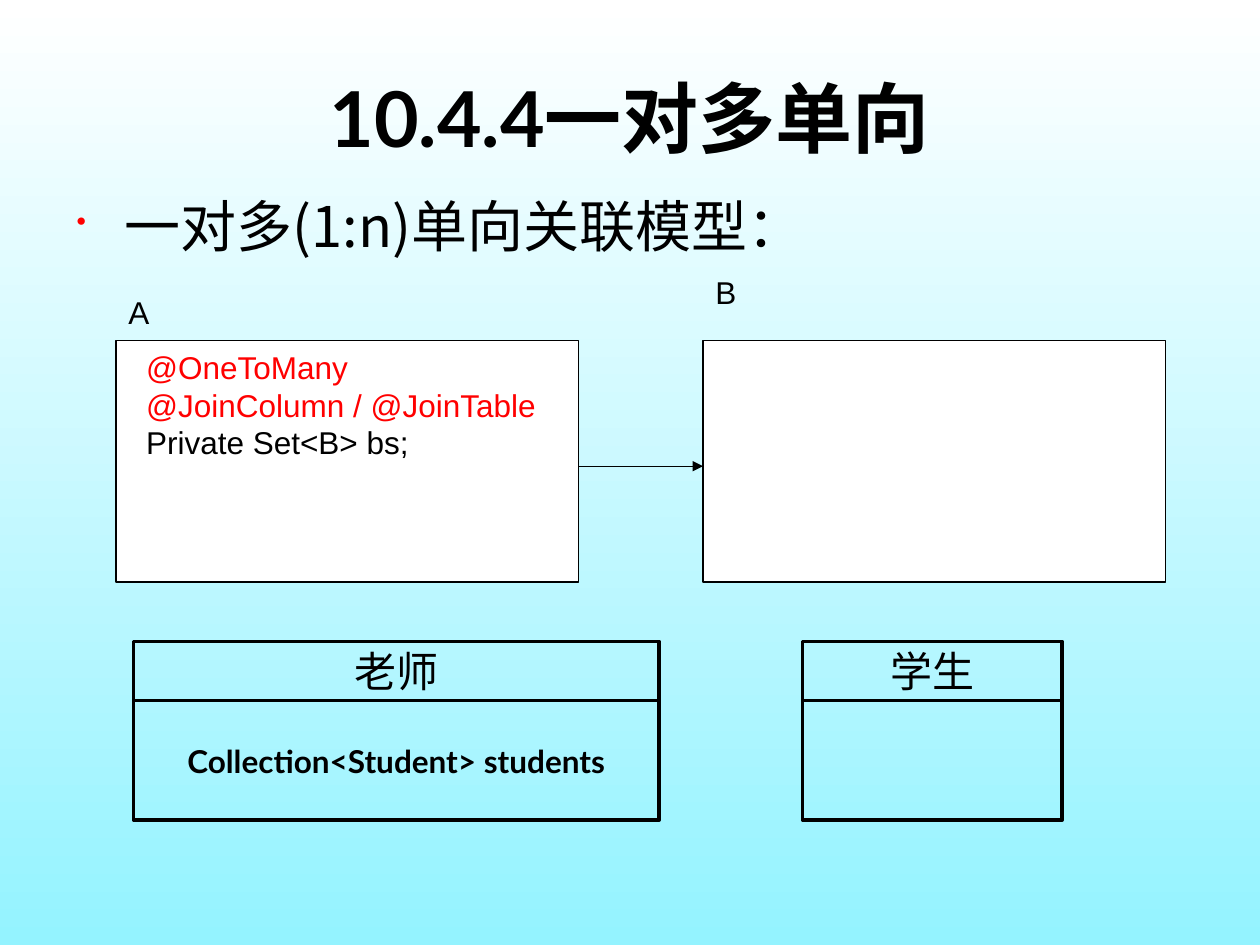
import pptx
import pptx.util
import pptx.dml.color
import pptx.enum.shapes
import pptx.enum.text
import pptx.oxml.ns
from lxml import etree

Inches, Pt = pptx.util.Inches, pptx.util.Pt
ALIGN, ANCHOR = pptx.enum.text.PP_ALIGN, pptx.enum.text.MSO_ANCHOR
qn = pptx.oxml.ns.qn

# Content
COLORS = {"text": "000000", "accent": "FF0000", "panel": "FFFFFF",
          "sky_top": "FFFFFF", "sky_bottom": "94F3FF"}
CJK_FONT = "Noto Sans CJK SC"
TITLE = "10.4.4一对多单向"
BULLET = "一对多(1:n)单向关联模型："
CODE = [("@OneToMany", "accent"),
        ("@JoinColumn / @JoinTable", "accent"),
        ("Private Set<B> bs;", "text")]
# Entity boxes: label, left, label top, code lines
ENTITIES = [("A", 0.92, 2.28, CODE), ("B", 5.58, 2.12, [])]
# Class boxes: name, left, width, attribute
CLASSES = [("学生", 6.37, 2.06, ""),
           ("老师", 1.06, 4.17, "Collection<Student> students")]

# Layout
ENTITY_TOP, ENTITY_WIDTH, ENTITY_HEIGHT = 2.7, 3.67, 1.92
CLASS_TOP, NAME_HEIGHT, ATTRIBUTE_HEIGHT = 5.09, 0.47, 0.95
ARROW_Y = 3.7


def color(name):
    return pptx.dml.color.RGBColor.from_string(COLORS[name])


def write(shape, lines, size, font, bold=False, align=ALIGN.LEFT,
          anchor=ANCHOR.TOP, wrap=True):
    """Fill a shape with (text, colour name) lines, one per paragraph."""
    frame = shape.text_frame
    frame.word_wrap = wrap
    frame.vertical_anchor = anchor
    for index, (text, color_name) in enumerate(lines):
        para = frame.add_paragraph() if index else frame.paragraphs[0]
        span = para.add_run()
        span.text = text
        para.alignment = align
        para.font.size, para.font.bold = Pt(size), bold
        para.font.name = font
        para.font.color.rgb = color(color_name)
        # East Asian glyphs take their own typeface
        span.font.name = font
        etree.SubElement(span.font._element, qn("a:ea"), typeface=CJK_FONT)
    return frame


def add_box(page, left, top, width, height, line_width, fill=None):
    box = page.shapes.add_shape(
        pptx.enum.shapes.MSO_SHAPE.RECTANGLE,
        Inches(left), Inches(top), Inches(width), Inches(height))
    box.shadow.inherit = False
    if fill:
        box.fill.solid()
        box.fill.fore_color.rgb = color(fill)
    else:
        box.fill.background()
    box.line.color.rgb = color("text")
    box.line.width = Pt(line_width)
    return box


def add_text(page, left, top, width, height, text, size, font, **style):
    box = page.shapes.add_textbox(
        Inches(left), Inches(top), Inches(width), Inches(height))
    return write(box, [(text, "text")], size, font, **style)


def add_bullet(para):
    props = para._p.get_or_add_pPr()
    props.set("marL", str(Inches(0.38)))
    props.set("indent", str(-Inches(0.38)))
    bullet_color = etree.Element(qn("a:buClr"))
    etree.SubElement(bullet_color, qn("a:srgbClr"), val=COLORS["accent"])
    bullet_size = etree.Element(qn("a:buSzPct"), val="50000")
    bullet_char = etree.Element(qn("a:buChar"), char="•")
    for place, part in enumerate((bullet_color, bullet_size, bullet_char)):
        props.insert(place, part)


def add_arrow(page, start, end, y):
    arrow = page.shapes.add_connector(
        pptx.enum.shapes.MSO_CONNECTOR.STRAIGHT,
        Inches(start), Inches(y), Inches(end), Inches(y))
    arrow.line.color.rgb = color("text")
    arrow.line.width = Pt(0.75)
    etree.SubElement(arrow.line._get_or_add_ln(), qn("a:tailEnd"), type="triangle")
    etree.SubElement(arrow._element.spPr, qn("a:effectLst"))


def main():
    deck = pptx.Presentation()
    deck.slide_width, deck.slide_height = Inches(10), Inches(7.5)
    page = deck.slides.add_slide(deck.slide_layouts[6])

    # Background gradient, top to bottom
    sky = page.background.fill
    sky.gradient()
    sky.gradient_angle = 270
    for stop, name in zip(sky.gradient_stops, ("sky_top", "sky_bottom")):
        stop.color.rgb = color(name)

    # Title and bullet
    add_text(page, 0.5, 0.3, 9, 1.25, TITLE, 44, "Lato", bold=True,
             align=ALIGN.CENTER, anchor=ANCHOR.MIDDLE)
    body = add_text(page, 0.51, 1.47, 8.84, 0.75, BULLET, 32, CJK_FONT)
    add_bullet(body.paragraphs[0])

    # Entity boxes with their labels
    for label, left, label_top, code in ENTITIES:
        box = add_box(page, left, ENTITY_TOP, ENTITY_WIDTH, ENTITY_HEIGHT,
                      0.75, "panel")
        frame = write(box, code, 18, "Arial", wrap=False)
        frame.margin_left, frame.margin_top = Inches(0.24), Inches(0.06)
        add_text(page, left, label_top, 1.67, 0.4, label, 18, "Arial")

    # Arrow from A to B
    add_arrow(page, ENTITIES[0][1] + ENTITY_WIDTH, ENTITIES[1][1], ARROW_Y)

    # Class boxes: name above attribute
    for name, left, width, attribute in CLASSES:
        rows = [(name, CLASS_TOP, NAME_HEIGHT, 24, False),
                (attribute, CLASS_TOP + NAME_HEIGHT, ATTRIBUTE_HEIGHT, 18, True)]
        for text, top, height, size, bold in rows:
            box = add_box(page, left, top, width, height, 2)
            if text:
                write(box, [(text, "text")], size, "Lato", bold=bold,
                      align=ALIGN.CENTER, anchor=ANCHOR.MIDDLE)

    deck.save("out.pptx")


if __name__ == "__main__":
    main()
